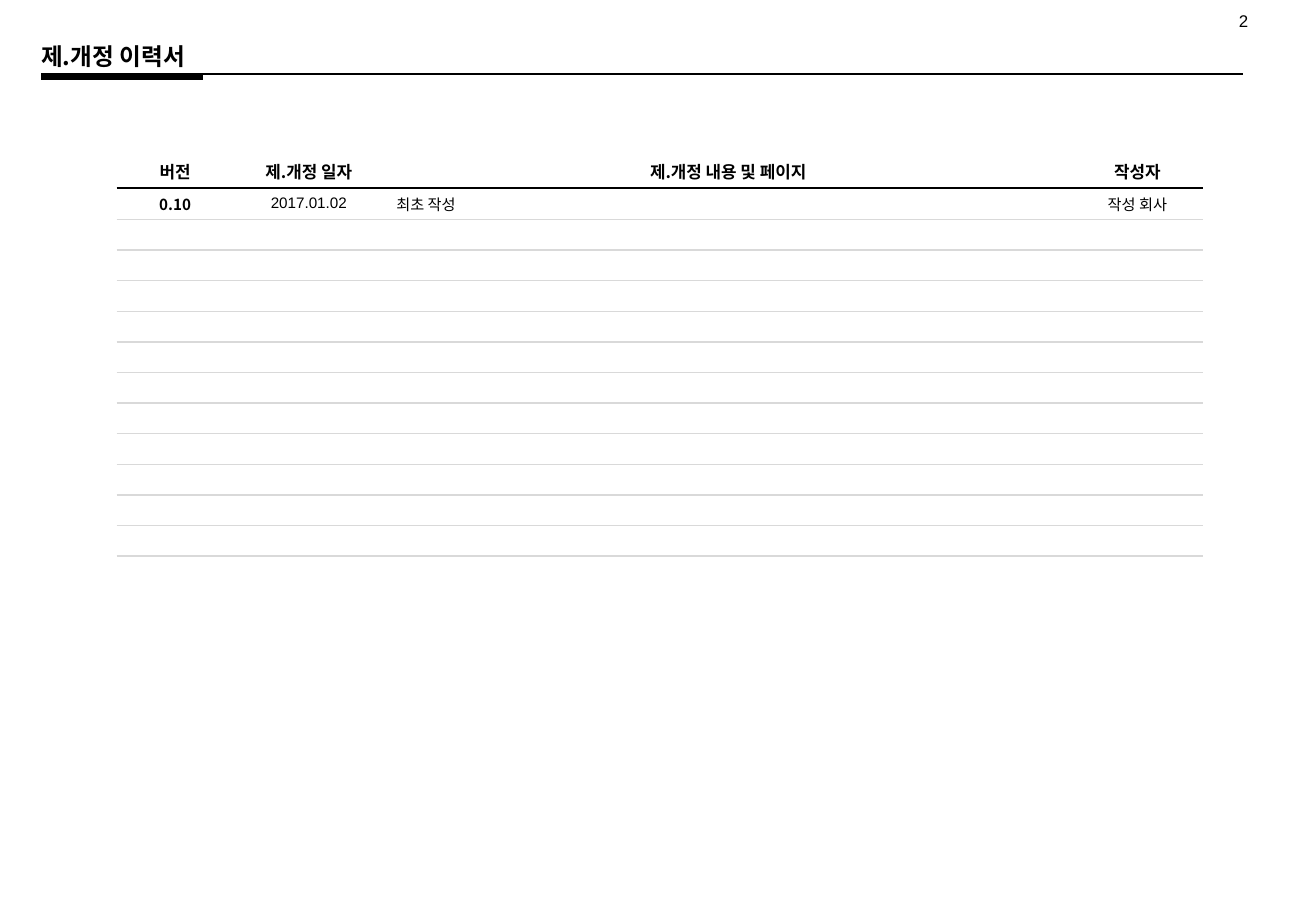
from lxml import etree
from pptx import Presentation
from pptx.dml.color import RGBColor
from pptx.enum.shapes import MSO_CONNECTOR
from pptx.enum.text import MSO_ANCHOR, PP_ALIGN
from pptx.oxml.ns import qn
from pptx.util import Cm, Pt

LEFT, CENTER = PP_ALIGN.LEFT, PP_ALIGN.CENTER
TOP, MIDDLE = MSO_ANCHOR.TOP, MSO_ANCHOR.MIDDLE
STRAIGHT = MSO_CONNECTOR.STRAIGHT

BLACK = RGBColor(0x00, 0x00, 0x00)
GRAY = RGBColor(0xD9, 0xD9, 0xD9)
KOREAN, LATIN = "Noto Sans CJK KR", "Arial"

HEADERS = ["버전", "제.개정 일자", "제.개정 내용 및 페이지", "작성자"]
# text, font, bold, alignment, space before in points
FIRST_REVISION = [
    ("0.10", KOREAN, True, CENTER, 1.8),
    ("2017.01.02", LATIN, False, CENTER, 0),
    ("최초 작성", KOREAN, False, LEFT, 1.8),
    ("작성 회사", KOREAN, False, CENTER, 1.8),
]
COLUMN_WIDTHS = [2.44, 3.15, 14.38, 2.73]
ROW_HEIGHTS = [0.68, 0.66] + [0.64] * 11


def add_run(p, text, size, font, bold=False):
    r = p.add_run()
    r.text = text
    r.font.size, r.font.name, r.font.bold = Pt(size), font, bold
    r.font.color.rgb = BLACK
    etree.SubElement(r.font._element, qn("a:ea"), typeface=font)


def add_text(s, box, text, size, font, bold=False, anchor=TOP, inset=(0, 0)):
    tf = s.shapes.add_textbox(*map(Cm, box)).text_frame
    tf.word_wrap, tf.vertical_anchor = True, anchor
    tf.margin_left = tf.margin_right = Cm(inset[0])
    tf.margin_top = tf.margin_bottom = Cm(inset[1])
    add_run(tf.paragraphs[0], text, size, font, bold)


def add_rule(s, x, y, width, weight):
    line = s.shapes.add_connector(STRAIGHT, Cm(x), Cm(y), Cm(x + width), Cm(y))
    line.line.color.rgb, line.line.width = BLACK, Pt(weight)
    etree.SubElement(line._element.spPr, qn("a:effectLst"))


def set_borders(cell, **edges):
    """Draw the given edges (color, points) and clear the others."""
    tcPr = cell._tc.get_or_add_tcPr()
    for i, edge in enumerate("LRTB"):
        ln = etree.Element(qn(f"a:ln{edge}"))
        if edges.get(edge):
            color, weight = edges[edge]
            ln.set("w", str(Pt(weight)))
            fill = etree.SubElement(ln, qn("a:solidFill"))
            etree.SubElement(fill, qn("a:srgbClr"), val=str(color))
        else:
            etree.SubElement(ln, qn("a:noFill"))
        tcPr.insert(i, ln)


def add_heading(s, x, y, width, height):
    add_text(s, (x, y, width, height), "제.개정 이력서", 14, KOREAN, True, MIDDLE)
    add_rule(s, x, y + height, width, 1)
    add_rule(s, x, y + height + 0.07, 3.38, 3)


def add_revision_table(s, x, y):
    table = s.shapes.add_table(
        len(ROW_HEIGHTS), len(COLUMN_WIDTHS), Cm(x), Cm(y),
        Cm(sum(COLUMN_WIDTHS)), Cm(sum(ROW_HEIGHTS))).table
    table.first_row = table.horz_banding = False
    for column, width in zip(table.columns, COLUMN_WIDTHS):
        column.width = Cm(width)
    above = None
    for i, (row, height) in enumerate(zip(table.rows, ROW_HEIGHTS)):
        row.height = Cm(height)
        below = (GRAY, 1) if i else (BLACK, 1.5)
        for j, cell in enumerate(row.cells):
            cell.fill.background()
            cell.vertical_anchor = MIDDLE
            cell.margin_top = cell.margin_bottom = 0
            set_borders(cell, T=above, B=below)
            p = cell.text_frame.paragraphs[0]
            if i == 0:
                p.alignment = CENTER
                add_run(p, HEADERS[j], 10, KOREAN, True)
            elif i == 1:
                text, font, bold, p.alignment, before = FIRST_REVISION[j]
                p.space_before = Pt(before)
                add_run(p, text, 9, font, bold)
            else:
                etree.SubElement(p._p, qn("a:endParaRPr"), sz="900")
        above = below


def main():
    prs = Presentation()
    prs.slide_width, prs.slide_height = Cm(27.51), Cm(19.05)
    s = prs.slides.add_slide(prs.slide_layouts[6])
    add_text(s, (25.65, 0.1, 0.97, 0.69), "2", 10, LATIN, inset=(0.25, 0.13))
    add_heading(s, 0.86, 0.79, 25.12, 0.76)
    add_revision_table(s, 2.44, 3.25)
    prs.save("out.pptx")


if __name__ == "__main__":
    main()
